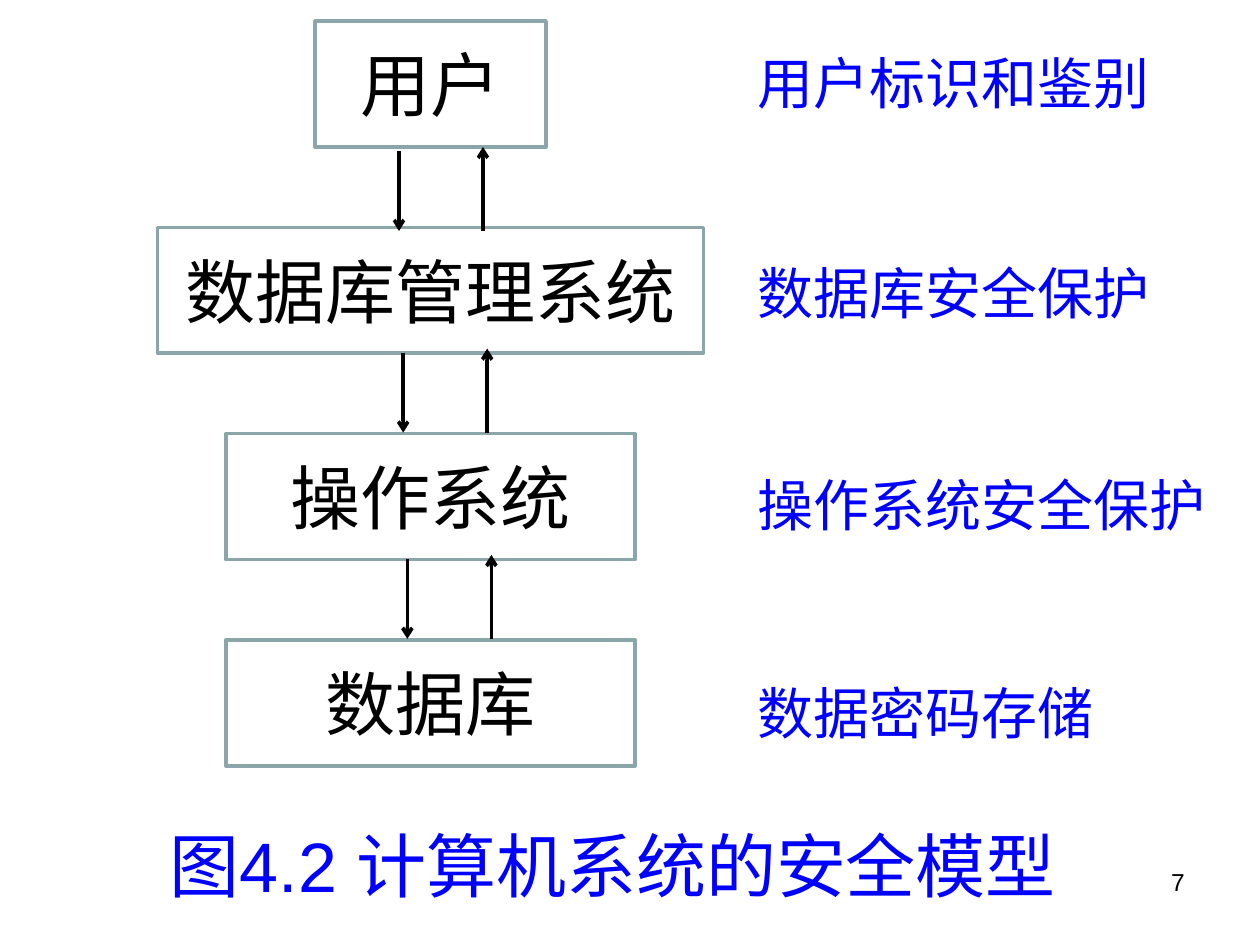
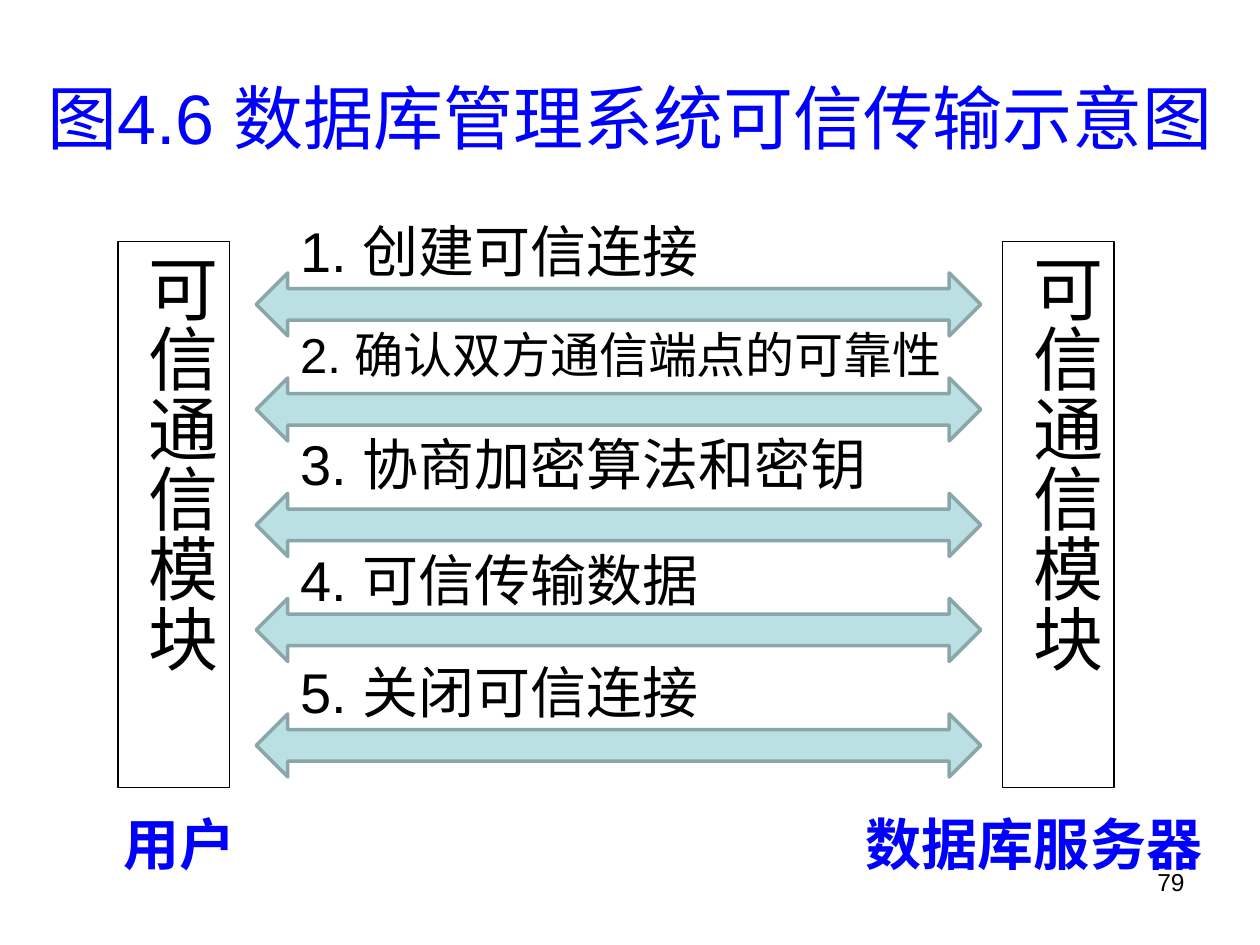
"""Build two slides on database security: the layered model and trusted transmission."""
from lxml.etree import SubElement
from pptx import Presentation
from pptx.dml.color import RGBColor
from pptx.enum.shapes import MSO_CONNECTOR, MSO_SHAPE
from pptx.enum.text import MSO_ANCHOR, PP_ALIGN
from pptx.oxml.ns import qn
from pptx.util import Inches, Pt

BLACK, BLUE, WHITE = "000000", "0000FF", "FFFFFF"
BORDER, ARROW_FILL = "8AA6A8", "BBE0E3"
FONT = "Arial"
LEFT, CENTER, RIGHT = PP_ALIGN.LEFT, PP_ALIGN.CENTER, PP_ALIGN.RIGHT
TOP, MIDDLE = MSO_ANCHOR.TOP, MSO_ANCHOR.MIDDLE
COLUMNS, ROWS = 120, 90

presentation = Presentation()
presentation.slide_width, presentation.slide_height = Inches(10), Inches(7.5)
column = presentation.slide_width / COLUMNS
row = presentation.slide_height / ROWS


def color(value):
    """Turn a hex string into a colour."""
    return RGBColor.from_string(value)


def add_block(slide, place, text="", size=32, ink=BLUE, align=LEFT, anchor=TOP,
              bold=False, geometry=None, line=BORDER, weight=2, fill=None):
    """Place a text box, or a preset shape if geometry is given, by grid cells."""
    left, top, width, height = place
    box = [int(left * column), int(top * row), int(width * column), int(height * row)]
    if geometry is None:
        shape = slide.shapes.add_textbox(*box)
    else:
        shape = slide.shapes.add_shape(geometry, *box)
        shape.shadow.inherit = False
        shape.line.color.rgb = color(line)
        shape.line.width = Pt(weight)
        if fill:
            shape.fill.solid()
            shape.fill.fore_color.rgb = color(fill)
        else:
            shape.fill.background()
    shape.text_frame.word_wrap = True
    shape.text_frame.vertical_anchor = anchor
    if text:
        paragraph = shape.text_frame.paragraphs[0]
        paragraph.text = text
        paragraph.alignment = align
        paragraph.font.name = FONT
        paragraph.font.size = Pt(size)
        paragraph.font.bold = bold
        paragraph.font.color.rgb = color(ink)
    return shape


slides = []
for number in ("7", "79"):
    slide = presentation.slides.add_slide(presentation.slide_layouts[6])
    slide.background.fill.solid()
    slide.background.fill.fore_color.rgb = color(WHITE)
    add_block(slide, (86, 82, 28, 6.25), number, 14, BLACK, RIGHT)
    slides.append(slide)
model_slide, transfer_slide = slides

layers = [
    ("用户", 22, "用户标识和鉴别", 4, 43),
    ("数据库管理系统", 52, "数据库安全保护", 24, 43),
    ("操作系统", 39, "操作系统安全保护", 44.25, 47),
    ("数据库", 39, "数据密码存储", 64, 39),
]
layer_center, layer_pitch = 41, 19.65
for index, (layer, width, protection, protection_top, protection_width) in enumerate(layers):
    place = (layer_center - width / 2, 2 + index * layer_pitch, width, 12)
    add_block(model_slide, place, layer, 40, BLACK, CENTER, MIDDLE,
              geometry=MSO_SHAPE.RECTANGLE)
    add_block(model_slide, (71, protection_top, protection_width, 7.7), protection)

for index, top in enumerate((14.4, 33.6, 53.25)):
    down = 38 + 0.4 * index
    up = down + 8
    for x, start, end in ((down, top, top + 7.6), (up, top + 7.6, top - 0.4)):
        arrow = model_slide.shapes.add_connector(
            MSO_CONNECTOR.STRAIGHT, int(x * column), int(start * row),
            int(x * column), int(end * row))
        arrow.line.color.rgb = color(BLACK)
        arrow.line.width = Pt(2)
        SubElement(arrow.line._get_or_add_ln(), qn("a:tailEnd"), type="arrow")
        SubElement(arrow._element.spPr, qn("a:effectLst"))
add_block(model_slide, (15, 77.75, 92, 9.25), "图4.2 计算机系统的安全模型", 40)

add_block(transfer_slide, (0, 3.6, COLUMNS, 15), "图4.6 数据库管理系统可信传输示意图",
          40, align=CENTER, anchor=MIDDLE)
for left in (95.5, 11.25):
    module = add_block(transfer_slide, (left, 23, 10.6, 52), "可信通信模块", 40, BLACK,
                       geometry=MSO_SHAPE.RECTANGLE, line=BLACK, weight=0.75)
    module.text_frame._txBody.bodyPr.set("vert", "eaVert")

steps = [
    ("1. 创建可信连接", 32, 20, 26),
    ("2. 确认双方通信端点的可靠性", 28, 30.35, 36),
    ("3. 协商加密算法和密钥", 32, 40.35, 47),
    ("4. 可信传输数据", 32, 51.35, 57),
    ("5. 关闭可信连接", 32, 62, 68),
]
for step, size, text_top, arrow_top in steps:
    add_block(transfer_slide, (24.4, arrow_top, 69, 6),
              geometry=MSO_SHAPE.LEFT_RIGHT_ARROW, fill=ARROW_FILL)
    add_block(transfer_slide, (27.4, text_top, 67, 7.7), step, size, BLACK)

for party, left, width in (("用户", 8.6, 17), ("数据库服务器", 77, 43)):
    add_block(transfer_slide, (left, 76.5, width, 7.7), party, align=CENTER, bold=True)

presentation.save("out.pptx")
